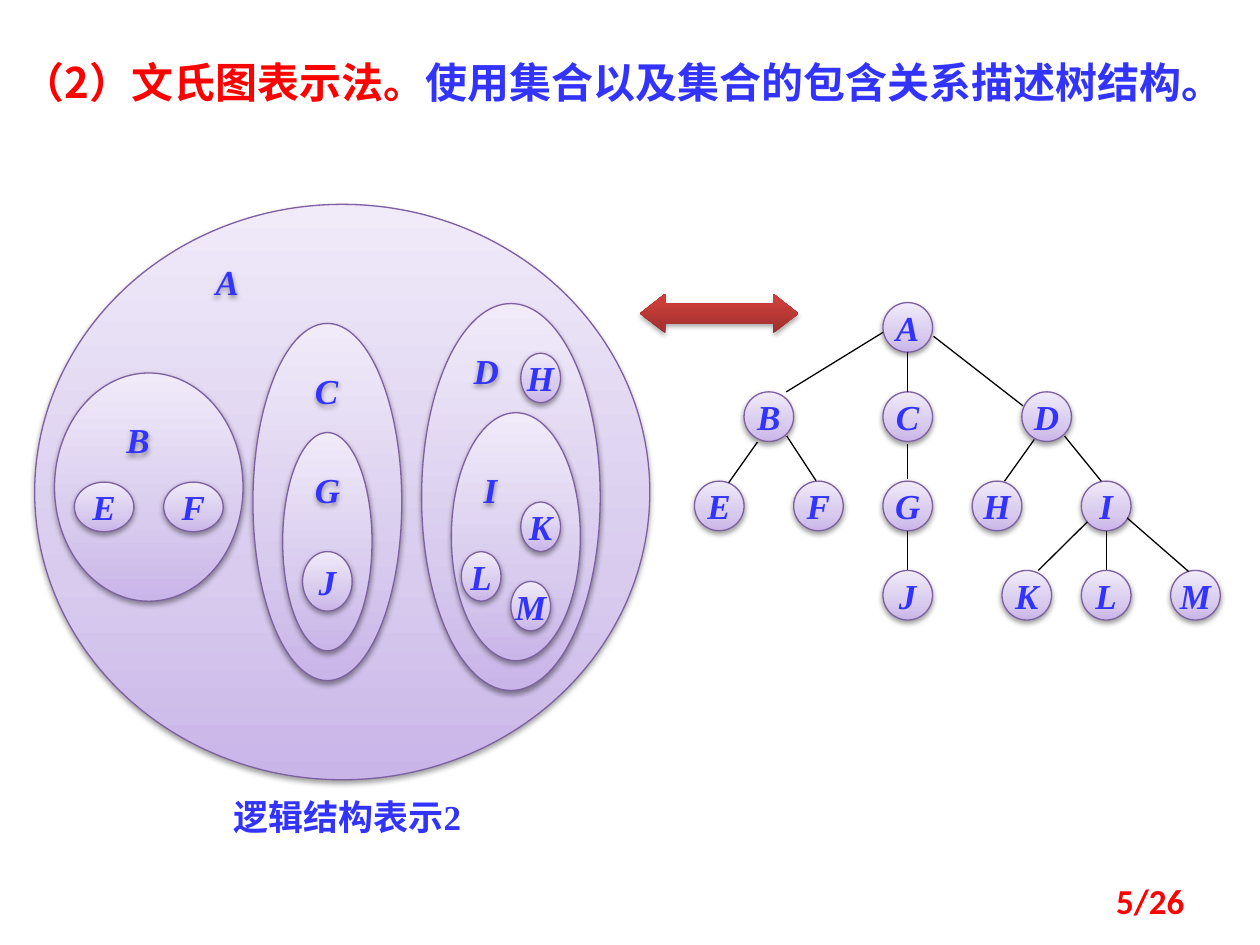
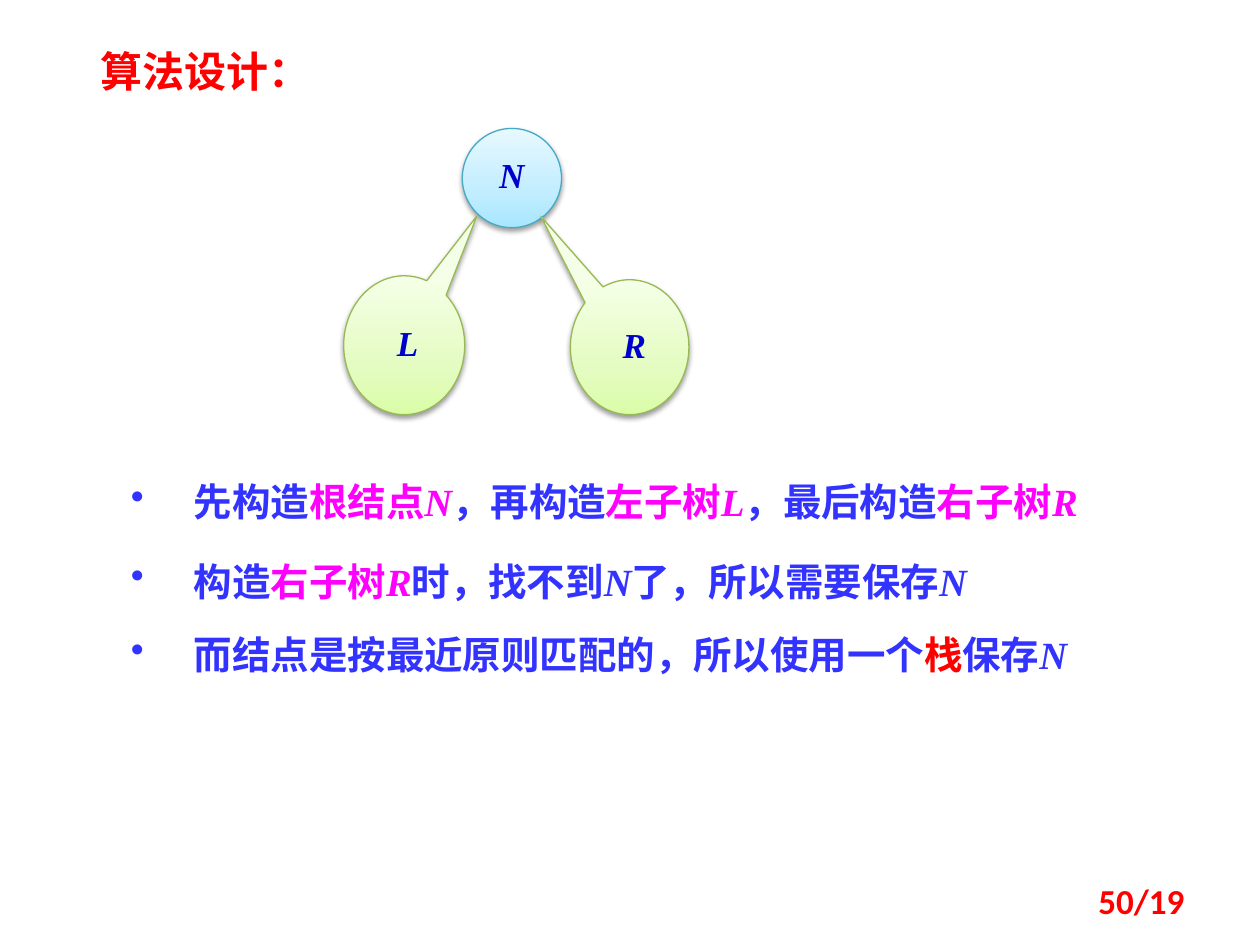
from copy import deepcopy

from pptx import Presentation
from pptx import util as u
from pptx.dml.color import RGBColor
from pptx.enum import shapes, text
from pptx.oxml import ns
from pptx.oxml import xmlchemy as xc

RED = RGBColor(0xFF, 0x00, 0x00)
BLUE = RGBColor(0x33, 0x33, 0xFF)
NAVY = RGBColor(0x00, 0x00, 0xCC)
MAGENTA = RGBColor(0xFF, 0x00, 0xFF)
BLACK = RGBColor(0x00, 0x00, 0x00)
PURPLE_EDGE = RGBColor(0x7D, 0x60, 0xA0)
AQUA_EDGE = RGBColor(0x46, 0xAA, 0xC5)
GREEN_EDGE = RGBColor(0x98, 0xB9, 0x55)
PURPLE = [(0, RGBColor(0xC9, 0xB5, 0xE8)), (0.35, RGBColor(0xD8, 0xCB, 0xEE)), (1, RGBColor(0xF0, 0xEA, 0xF9))]
AQUA = [(0, RGBColor(0xA7, 0xE6, 0xFF)), (0.35, RGBColor(0xC1, 0xED, 0xFF)), (1, RGBColor(0xE7, 0xF8, 0xFF))]
GREEN = [(0, RGBColor(0xDA, 0xFD, 0xA7)), (0.35, RGBColor(0xE4, 0xFC, 0xC2)), (1, RGBColor(0xF5, 0xFF, 0xE7))]
BRICK = [(0, RGBColor(0x9C, 0x2F, 0x2D)), (0.8, RGBColor(0xCB, 0x3E, 0x3A)), (1, RGBColor(0xCE, 0x3B, 0x37))]

COLUMNS = 254
SANS, SERIF = "Noto Sans CJK SC", "Times New Roman"
HEADING = dict(name=SANS, size=u.Pt(24), bold=True, rgb=RED)
CAPTION = dict(name=SERIF, size=u.Pt(20), bold=True, rgb=BLUE)
LETTER = dict(CAPTION, italic=True)
ROOT_LETTER = dict(LETTER, rgb=NAVY)
PAGE = dict(name="Calibri", size=u.Pt(20), bold=True, rgb=RED)
BODY = dict(CAPTION, size=u.Pt(22), italic=False)
KEY = dict(BODY, rgb=MAGENTA)
KEY_VAR = dict(KEY, italic=True)
VAR = dict(BODY, italic=True)
ALERT = dict(BODY, rgb=RED)

FIT = text.MSO_AUTO_SIZE.SHAPE_TO_FIT_TEXT
TOP, MIDDLE = text.MSO_ANCHOR.TOP, text.MSO_ANCHOR.MIDDLE
ALIGN = text.PP_ALIGN
SHAPE = shapes.MSO_SHAPE

VENN_SETS = [
    ("", 7, 41, 124, 116), ("", 11, 75, 38, 46), ("E", 15, 97, 12, 10), ("F", 33, 97, 12, 10),
    ("", 51, 65, 30, 72), ("", 57, 87, 18, 44), ("J", 61, 111, 10, 12),
    ("", 85, 61, 36, 78), ("", 91, 83, 26, 50), ("H", 105, 71, 8, 10),
    ("K", 105, 101, 8, 10), ("L", 93, 111, 8, 10), ("M", 103, 117, 8, 10),
]
VENN_LABELS = [("A", 41, 51, 10), ("B", 23, 83, 10), ("C", 61, 73, 8),
               ("G", 61, 93, 8), ("D", 93, 69, 10), ("I", 95, 93, 10)]
VENN_SHIFT = 0.2
TREE_LEVELS = [
    {"A": 178},
    {"B": 150, "C": 178, "D": 206},
    {"E": 140, "F": 160, "G": 178, "H": 196, "I": 218},
    {"J": 178, "K": 202, "L": 218, "M": 236},
]
TREE_TOP, LEVEL_STEP, NODE = 61, 18, 10
TREE_EDGES = [
    (178, 67, 158.5, 79), (183, 71, 183, 79), (188.2, 67.8, 206.2, 81.8),
    (152.7, 89.1, 146.9, 97.3), (158.6, 87.9, 164.5, 96.9), (183, 89.6, 183, 96.5),
    (208.5, 88.6, 202.5, 97), (214.6, 87.9, 222, 97), (183, 107, 183, 115),
    (219.2, 105.2, 209.3, 115), (223, 107, 223, 115), (227.2, 104.4, 239.6, 115.2),
]
STEPS = [
    (95.2, [("先构造", BODY), ("根结点", KEY), ("N", KEY_VAR), ("，再构造", BODY), ("左子树", KEY),
            ("L", KEY_VAR), ("，最后构造", BODY), ("右子树", KEY), ("R", KEY_VAR)]),
    (111.2, [("构造", BODY), ("右子树", KEY), ("R", KEY_VAR), ("时，找不到", BODY), ("N", VAR),
             ("了，所以需要保存", BODY), ("N", VAR)]),
    (126, [("而结点是按最近原则匹配的，所以使用一个", BODY), ("栈", ALERT), ("保存", BODY), ("N", VAR)]),
]


class Deck:
    """Draws styled elements on the current slide, on a grid of square cells."""

    def __init__(self):
        self.prs = Presentation()
        self.prs.slide_width, self.prs.slide_height = u.Inches(10), u.Inches(7.5)
        self.cell = self.prs.slide_width / COLUMNS
        self.s = None

    def grid(self, *cells):
        return [u.Emu(round(c * self.cell)) for c in cells]

    def slide(self, box, runs, page, **para):
        self.s = self.prs.slides.add_slide(self.prs.slide_layouts[5])
        sp = self.s.shapes.title
        sp.left, sp.top, sp.width, sp.height = self.grid(*box)
        self.put_runs(sp, runs, para, auto_size=FIT, vertical_anchor=TOP, word_wrap=True)
        self.text((182, 176.5, 59.3, 10.2), [(page, PAGE)], dict(alignment=ALIGN.RIGHT),
                  auto_size=text.MSO_AUTO_SIZE.NONE, vertical_anchor=MIDDLE)

    def put_runs(self, sp, runs, para, **frame):
        tf = sp.text_frame
        for key, value in frame.items():
            setattr(tf, key, value)
        p = tf.paragraphs[0]
        for key, value in para.items():
            setattr(p, key, value)
        for words, style in runs:
            r = p.add_run()
            r.text = words
            for key, value in style.items():
                if key == "rgb":
                    r.font.color.rgb = value
                else:
                    setattr(r.font, key, value)
            self.child(r._r.get_or_add_rPr(), "a:ea", typeface=SANS, after="a:latin")

    def child(self, parent, tag, after=None, **attrs):
        el = xc.OxmlElement(tag)
        for key, value in attrs.items():
            el.set(key, str(value))
        if after:
            parent.find(ns.qn(after)).addnext(el)
        else:
            parent.append(el)
        return el

    def text(self, box, runs, para=None, **frame):
        sp = self.s.shapes.add_textbox(*self.grid(*box))
        self.put_runs(sp, runs, para or dict(alignment=ALIGN.LEFT),
                      **{"word_wrap": True, "auto_size": FIT, **frame})
        return sp

    def bullet(self, box, runs):
        sp = self.text(box, runs)
        pPr = sp.text_frame.paragraphs[0]._p.get_or_add_pPr()
        pPr.set("marL", str(u.Inches(0.5)))
        pPr.set("indent", str(-u.Inches(0.5)))
        self.child(pPr, "a:buChar", char="•")

    def shadow(self, sp, opacity=38, drop=1.6):
        sp.shadow.inherit = False
        effects = sp._element.spPr.find(ns.qn("a:effectLst"))
        outer = self.child(effects, "a:outerShdw", blurRad=u.Pt(3.1), dist=u.Pt(drop),
                           dir=5400000, rotWithShape=0)
        color = self.child(outer, "a:srgbClr", val=BLACK)
        self.child(color, "a:alpha", val=opacity * 1000)

    def shape(self, kind, box, stops, edge=None, adjust=(), **shadow):
        sp = self.s.shapes.add_shape(kind, *self.grid(*box))
        for i, value in enumerate(adjust):
            sp.adjustments[i] = value
        sp.fill.gradient()
        sp.fill.gradient_angle = 90
        gs_list = next(sp._element.spPr.iter(ns.qn("a:gsLst")))
        gs_list.append(deepcopy(gs_list[0]))
        for stop, (position, color) in zip(sp.fill.gradient_stops, stops):
            stop.position, stop.color.rgb = position, color
        if edge is None:
            sp.line.fill.background()
        else:
            sp.line.color.rgb, sp.line.width = edge, u.Pt(0.75)
        self.shadow(sp, **shadow)
        return sp

    def node(self, box, letter):
        sp = self.shape(SHAPE.OVAL, box, PURPLE, PURPLE_EDGE)
        if letter:
            self.put_runs(sp, [(letter, LETTER)], dict(alignment=ALIGN.CENTER),
                          vertical_anchor=MIDDLE, word_wrap=False)

    def edge(self, *ends):
        sp = self.s.shapes.add_connector(shapes.MSO_CONNECTOR.STRAIGHT, *self.grid(*ends))
        sp.line.color.rgb, sp.line.width = BLACK, u.Pt(0.75)
        self.child(sp._element.spPr, "a:effectLst")


def venn_slide(deck):
    deck.slide((2, 9.2, 253, 14), [("（2）文氏图表示法。", HEADING),
               ("使用集合以及集合的包含关系描述树结构。", dict(HEADING, name=SERIF, rgb=BLUE))],
               "5/26", alignment=ALIGN.JUSTIFY, line_spacing=1.1)
    deck.text((25, 159.2, 90, 11.2), [("逻辑结构表示2", CAPTION)], dict(alignment=ALIGN.CENTER))
    for letter, col, row, width, height in VENN_SETS:
        deck.node((col, row + VENN_SHIFT, width, height), letter)
    for letter, col, row, width in VENN_LABELS:
        deck.shadow(deck.text((col, row + VENN_SHIFT, width, 11), [(letter, LETTER)]))
    deck.shape(SHAPE.LEFT_RIGHT_ARROW, (129, 59.2, 32, 8), BRICK, adjust=(0.5, 0.64),
               opacity=35, drop=1.8)
    for level, nodes in enumerate(TREE_LEVELS):
        for letter, col in nodes.items():
            deck.node((col, TREE_TOP + level * LEVEL_STEP, NODE, NODE), letter)
    for ends in TREE_EDGES:
        deck.edge(*ends)


def design_slide(deck):
    deck.slide((17.8, 7.9, 52.4, 12.6), [("算法设计：", HEADING)], "50/19", alignment=ALIGN.LEFT)
    root = deck.shape(SHAPE.OVAL, (93.2, 25.9, 20, 20), AQUA, AQUA_EDGE)
    deck.put_runs(root, [("N", ROOT_LETTER)], dict(alignment=ALIGN.CENTER), vertical_anchor=TOP,
                  margin_left=0, margin_top=u.Inches(0.08), margin_right=0, margin_bottom=0)
    for letter, box, adjust, spot in [
            ("L", (69.3, 55.6, 24.4, 28), (0.6, -0.93), (77.5, 63.5, 9.4, 11.2)),
            ("R", (115, 56.4, 23.9, 27.2), (-0.75, -0.97), (123, 64, 9.9, 11.2))]:
        deck.shape(SHAPE.OVAL_CALLOUT, box, GREEN, GREEN_EDGE, adjust)
        deck.text(spot, [(letter, ROOT_LETTER)], word_wrap=False)
    for row, runs in STEPS:
        deck.bullet((23.9, row, 212.3, 12), runs)


def main():
    deck = Deck()
    venn_slide(deck)
    design_slide(deck)
    deck.prs.save("out.pptx")


if __name__ == "__main__":
    main()
